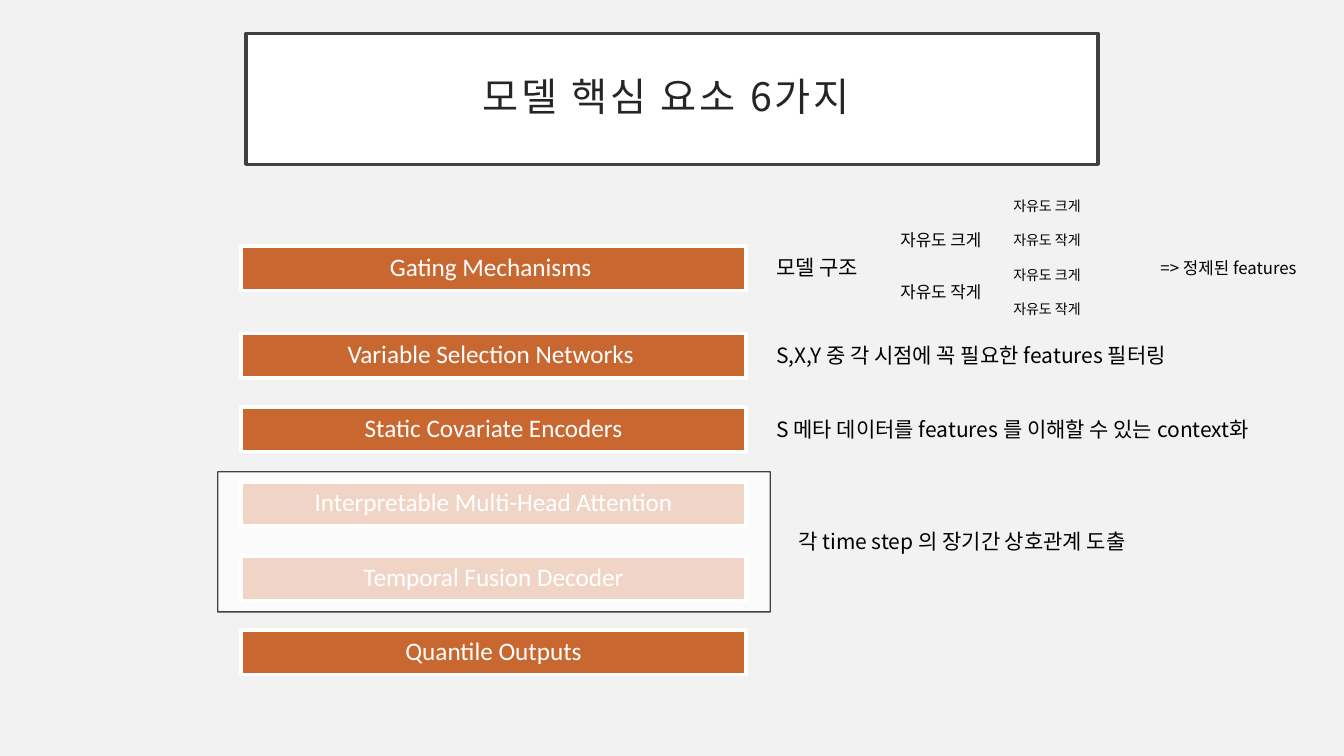
import pptx
import pptx.util
import pptx.dml.color
import pptx.enum.shapes
import pptx.enum.text
import pptx.oxml.ns
import lxml.etree

Inches, Pt = pptx.util.Inches, pptx.util.Pt
RGB = pptx.dml.color.RGBColor.from_string
RECT = pptx.enum.shapes.MSO_SHAPE.RECTANGLE
qn = pptx.oxml.ns.qn
ANCHOR = pptx.enum.text.MSO_ANCHOR
ALIGN = pptx.enum.text.PP_ALIGN
GROW = pptx.enum.text.MSO_AUTO_SIZE.SHAPE_TO_FIT_TEXT
NONE = pptx.enum.text.MSO_AUTO_SIZE.NONE
NOTO = "Noto Sans CJK KR"

COLORS = {"back": "F2F2F2", "white": "FFFFFF", "frame": "404040",
          "title": "262626", "bar": "C96731", "black": "000000"}


def write(shape, text, size, font, color, align, inset=0.05,
          anchor=ANCHOR.TOP, auto=GROW):
    frame = shape.text_frame
    form = {"word_wrap": True, "auto_size": auto, "vertical_anchor": anchor}
    for side in ("left", "right", "top", "bottom"):
        form["margin_" + side] = Inches(inset)
    for name, value in form.items():
        setattr(frame, name, value)
    para = frame.paragraphs[0]
    para.alignment = align
    run = para.add_run()
    run.text = text
    for name, value in {"size": Pt(size), "name": font}.items():
        setattr(run.font, name, value)
    run.font.color.rgb = RGB(COLORS[color])
    # East Asian font for the Korean letters
    props = run.font._element
    lxml.etree.SubElement(props, qn("a:ea")).set("typeface", NOTO)
    return para, props


def paint(shape, fill, line, width):
    shape.fill.solid()
    shape.fill.fore_color.rgb = RGB(COLORS[fill])
    shape.line.color.rgb = RGB(COLORS[line])
    shape.line.width = Pt(width)


deck = pptx.Presentation()
deck.slide_width, deck.slide_height = Inches(13.33), Inches(7.5)
slide = deck.slides.add_slide(deck.slide_layouts[5])
slide.background.fill.solid()
slide.background.fill.fore_color.rgb = RGB(COLORS["back"])
shapes = slide.shapes

# Title
title = shapes.title
spot = {"left": 2.44, "top": 0.33, "width": 8.45, "height": 1.3}
for name, value in spot.items():
    setattr(title, name, Inches(value))
paint(title, "white", "frame", 2.5)
para, props = write(title, "모델 핵심 요소 6가지 ", 28, NOTO, "title",
                    ALIGN.CENTER, 0.2, ANCHOR.MIDDLE, NONE)
para.line_spacing = 0.9
props.set("spc", "200")

# Six model parts
bars = [
    (2.44, "Gating Mechanisms "),
    (3.31, "Variable Selection Networks "),
    (4.04, "Static Covariate Encoders"),
    (4.78, "Interpretable Multi-Head Attention"),
    (5.52, "Temporal Fusion Decoder"),
    (6.25, "Quantile Outputs"),
]
for top, text in bars:
    bar = shapes.add_shape(RECT, Inches(2.39), Inches(top),
                           Inches(5.01), Inches(0.44))
    bar.shadow.inherit = False
    paint(bar, "bar", "white", 2.5)
    write(bar, text, 18, "Calibri", "white", ALIGN.CENTER)

# Notes beside the parts: left, top, width, height, size, text
notes = [
    (7.65, 2.48, 1, 0.35, 15, "모델 구조"),
    (11.46, 2.51, 1.52, 0.3, 12, "=> 정제된 features"),
    (7.65, 3.35, 4.11, 0.35, 15, "S,X,Y 중 각 시점에 꼭 필요한 features 필터링"),
    (7.65, 4.08, 4.94, 0.35, 15,
     "S 메타 데이터를 features 를 이해할 수 있는 context화"),
    (7.87, 5.19, 3.39, 0.35, 15, "각 time step 의 장기간 상호관계 도출"),
]

# Two levels of freedom, large and small in turn
levels = ("자유도 크게", "자유도 작게")
for i in range(2):
    notes.append((8.88, 2.23 + 0.52 * i, 0.97, 0.3, 12, levels[i]))
for i in range(4):
    notes.append((10, 1.91 + 0.34 * i, 0.82, 0.27, 10, levels[i % 2]))

for left, top, width, height, size, text in notes:
    box = shapes.add_textbox(Inches(left), Inches(top),
                             Inches(width), Inches(height))
    write(box, text, size, NOTO, "black", ALIGN.LEFT)

# Pale veil over the attention and decoder bars
veil = shapes.add_shape(RECT, Inches(2.16), Inches(4.68),
                        Inches(5.48), Inches(1.39))
veil.shadow.inherit = False
paint(veil, "white", "black", 1)
for tint in veil._element.spPr.iter(qn("a:srgbClr")):
    lxml.etree.SubElement(tint, qn("a:alpha")).set("val", "73000")

deck.save("out.pptx")
